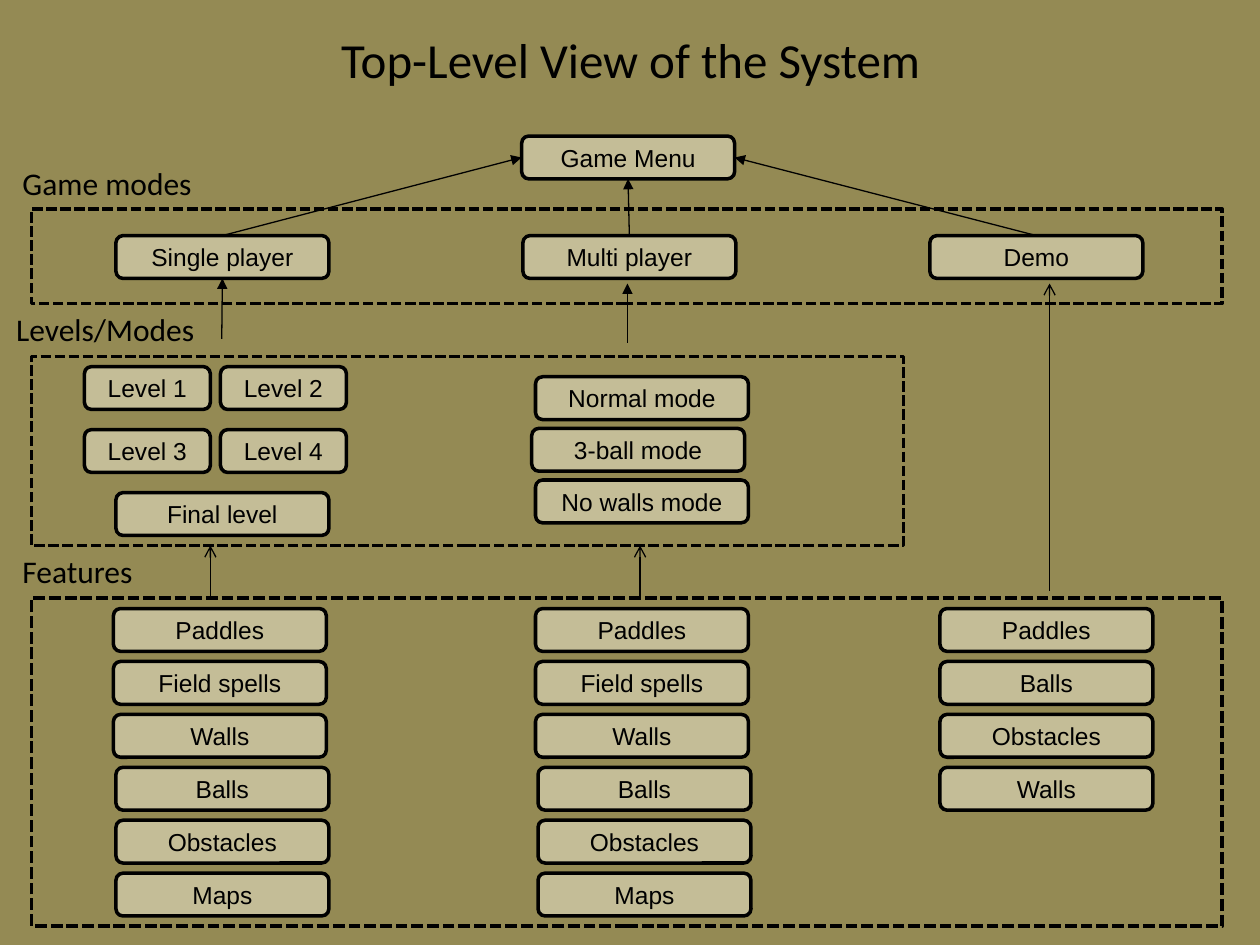
from dataclasses import dataclass

from lxml import etree
from pptx import Presentation
from pptx.dml.color import RGBColor
from pptx.enum import dml, shapes, text
from pptx.oxml.ns import qn
from pptx.util import Inches, Pt


@dataclass(frozen=True)
class Theme:
    background: RGBColor = RGBColor(0x94, 0x8A, 0x54)
    box_fill: RGBColor = RGBColor(0xC4, 0xBD, 0x97)
    ink: RGBColor = RGBColor(0, 0, 0)
    heading_font: str = "Calibri"
    box_font: str = "Arial"
    title_size: int = 28
    label_size: int = 18
    box_size: int = 14
    outline: float = 2
    arrow_line: float = 0.75


BOX_WIDTH, LEVEL_WIDTH, BOX_HEIGHT = 1.69, 1, 0.34
TOP, LEFT, BOTTOM, RIGHT = range(4)  # connection sites


class Diagram:
    def __init__(self, slide, theme):
        self.slide, self.theme = slide, theme
        fill = slide.background.fill
        fill.solid()
        fill.fore_color.rgb = theme.background

    def style(self, paragraph, font_name, size, alignment):
        paragraph.alignment = alignment
        font = paragraph.font
        font.name, font.size = font_name, Pt(size)
        font.color.rgb = self.theme.ink

    def shape(self, kind, left, top, width, height, outline):
        shape = self.slide.shapes.add_shape(
            kind, Inches(left), Inches(top), Inches(width), Inches(height))
        shape.shadow.inherit = False
        shape.line.color.rgb = self.theme.ink
        shape.line.width = Pt(outline)
        return shape

    def box(self, caption, left, top, width=BOX_WIDTH):
        shape = self.shape(shapes.MSO_SHAPE.ROUNDED_RECTANGLE,
                           left, top, width, BOX_HEIGHT, self.theme.outline)
        shape.fill.solid()
        shape.fill.fore_color.rgb = self.theme.box_fill
        frame = shape.text_frame
        frame.text = caption
        frame.vertical_anchor = text.MSO_ANCHOR.MIDDLE
        self.style(frame.paragraphs[0], self.theme.box_font,
                   self.theme.box_size, text.PP_ALIGN.CENTER)
        return shape

    def panel(self, left, top, width, height, outline=None):
        shape = self.shape(shapes.MSO_SHAPE.RECTANGLE, left, top, width, height,
                           outline or self.theme.outline)
        shape.fill.background()
        shape.line.dash_style = dml.MSO_LINE.SQUARE_DOT

    def text_box(self, caption, left, top, width, height, size, alignment, wrap):
        frame = self.slide.shapes.add_textbox(
            Inches(left), Inches(top), Inches(width), Inches(height)).text_frame
        frame.text = caption
        frame.word_wrap = wrap
        self.style(frame.paragraphs[0], self.theme.heading_font, size, alignment)
        return frame

    def title(self, caption):
        frame = self.text_box(caption, 0.65, 0.25, 8.71, 0.43, self.theme.title_size,
                              text.PP_ALIGN.CENTER, True)
        frame.vertical_anchor = text.MSO_ANCHOR.MIDDLE

    def label(self, caption, left, top, width):
        frame = self.text_box(caption, left, top, width, 0.4, self.theme.label_size,
                              text.PP_ALIGN.LEFT, False)
        frame.auto_size = text.MSO_AUTO_SIZE.SHAPE_TO_FIT_TEXT

    def arrow(self, start, end, head="triangle", source=None, target=None):
        """Draw an arrow; source and target are optional (shape, site) pairs."""
        connector = self.slide.shapes.add_connector(
            shapes.MSO_CONNECTOR.STRAIGHT, *(Inches(v) for v in (*start, *end)))
        if source:
            connector.begin_connect(*source)
        if target:
            connector.end_connect(*target)
        connector.line.color.rgb = self.theme.ink
        connector.line.width = Pt(self.theme.arrow_line)
        etree.SubElement(connector.line._get_or_add_ln(), qn("a:tailEnd"), type=head)
        etree.SubElement(connector._element.spPr, qn("a:effectLst"))


def main():
    presentation = Presentation()
    presentation.slide_width, presentation.slide_height = Inches(10), Inches(7.5)
    slide = presentation.slides.add_slide(presentation.slide_layouts[6])
    diagram = Diagram(slide, Theme())
    diagram.title("Top-Level View of the System")

    # Section panels and labels
    diagram.panel(0.25, 1.66, 9.45, 0.75)
    diagram.panel(0.25, 2.83, 6.92, 1.5)
    diagram.panel(0.25, 4.75, 9.45, 2.6, outline=2.25)
    diagram.label("Game modes", 0.08, 1.25, 1.56)
    diagram.label("Levels/Modes", 0.03, 2.41, 1.63)
    diagram.label("Features", 0.08, 4.33, 1.08)

    # Menu and game modes
    menu = diagram.box("Game Menu", 4.14, 1.08)
    single, multi, demo = (
        diagram.box(caption, 0.92 + 3.23 * column, 1.87)
        for column, caption in enumerate(("Single player", "Multi player", "Demo")))

    # Levels of the single player mode
    for index in range(4):
        row, column = divmod(index, 2)
        diagram.box(f"Level {index + 1}", 0.67 + 1.08 * column, 2.91 + 0.5 * row,
                    LEVEL_WIDTH)
    diagram.box("Final level", 0.92, 3.91)

    # Variants of the multi player mode
    variants = (("Normal mode", 4.25), ("3-ball mode", 4.22), ("No walls mode", 4.25))
    for row, (caption, left) in enumerate(variants):
        diagram.box(caption, left, 2.99 + 0.41 * row)

    # Feature columns; the lower three player boxes sit slightly to the right
    pitch = 0.42
    player_features = ("Paddles", "Field spells", "Walls", "Balls", "Obstacles", "Maps")
    for left in (0.9, 4.25):
        for row, caption in enumerate(player_features):
            diagram.box(caption, left + 0.02 * (row >= 3), 4.83 + pitch * row)
    for row, caption in enumerate(("Paddles", "Balls", "Obstacles", "Walls")):
        diagram.box(caption, 7.46, 4.83 + pitch * row)

    # Arrows from modes to the menu
    for mode, start, end, site in ((single, (1.76, 1.87), (4.14, 1.25), LEFT),
                                   (multi, (4.98, 1.87), (4.98, 1.42), BOTTOM),
                                   (demo, (8.23, 1.87), (5.83, 1.25), RIGHT)):
        diagram.arrow(start, end, source=(mode, TOP), target=(menu, site))

    # Arrows from levels to modes
    diagram.arrow((1.76, 2.69), (1.76, 2.21), target=(single, BOTTOM))
    diagram.arrow((4.98, 2.72), (4.98, 2.25))

    # Arrows from features upward
    for x, start, end in ((1.67, 4.75, 4.33), (5.08, 4.75, 4.33), (8.33, 4.69, 2.25)):
        diagram.arrow((x, start), (x, end), head="arrow")

    presentation.save("out.pptx")


if __name__ == "__main__":
    main()
